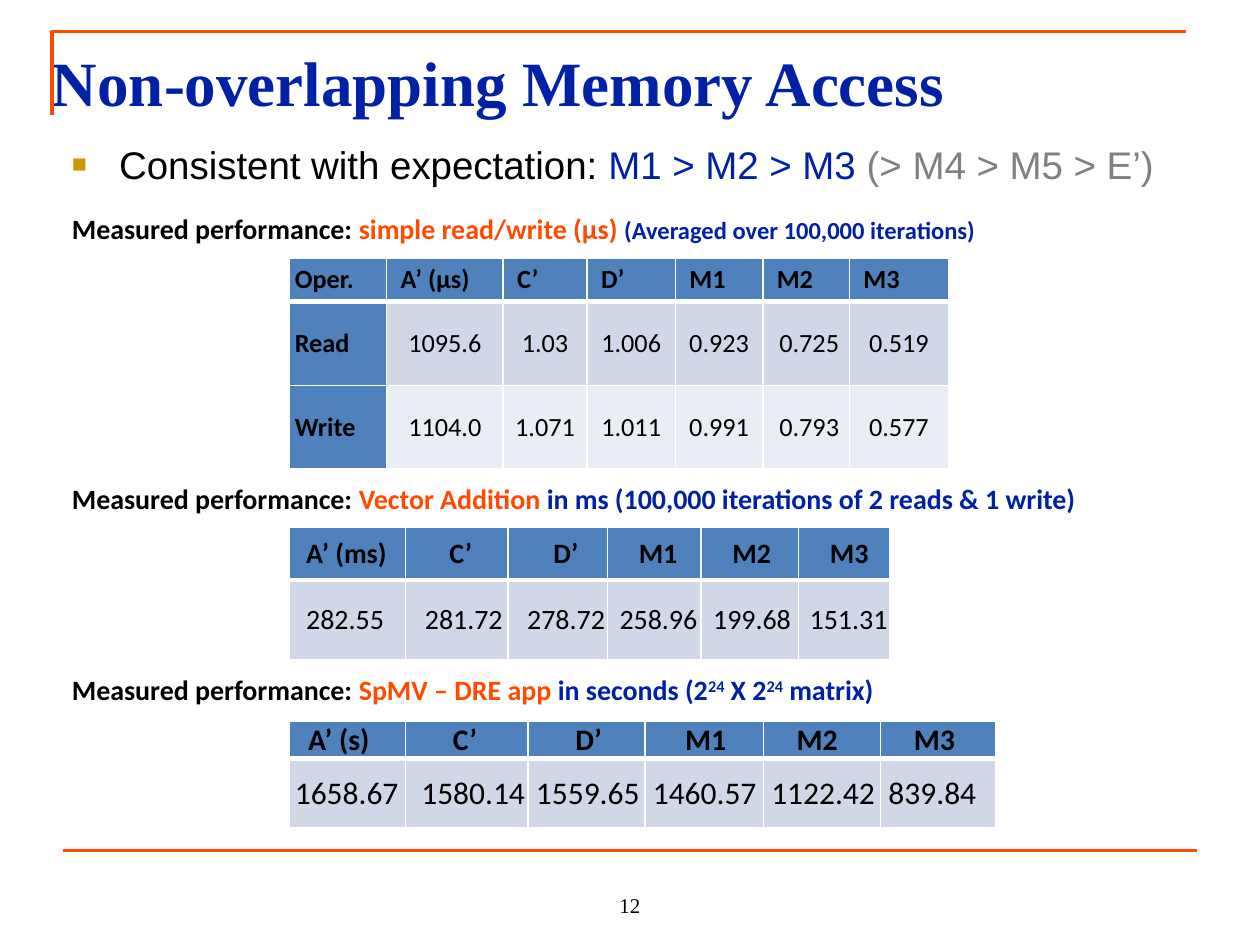
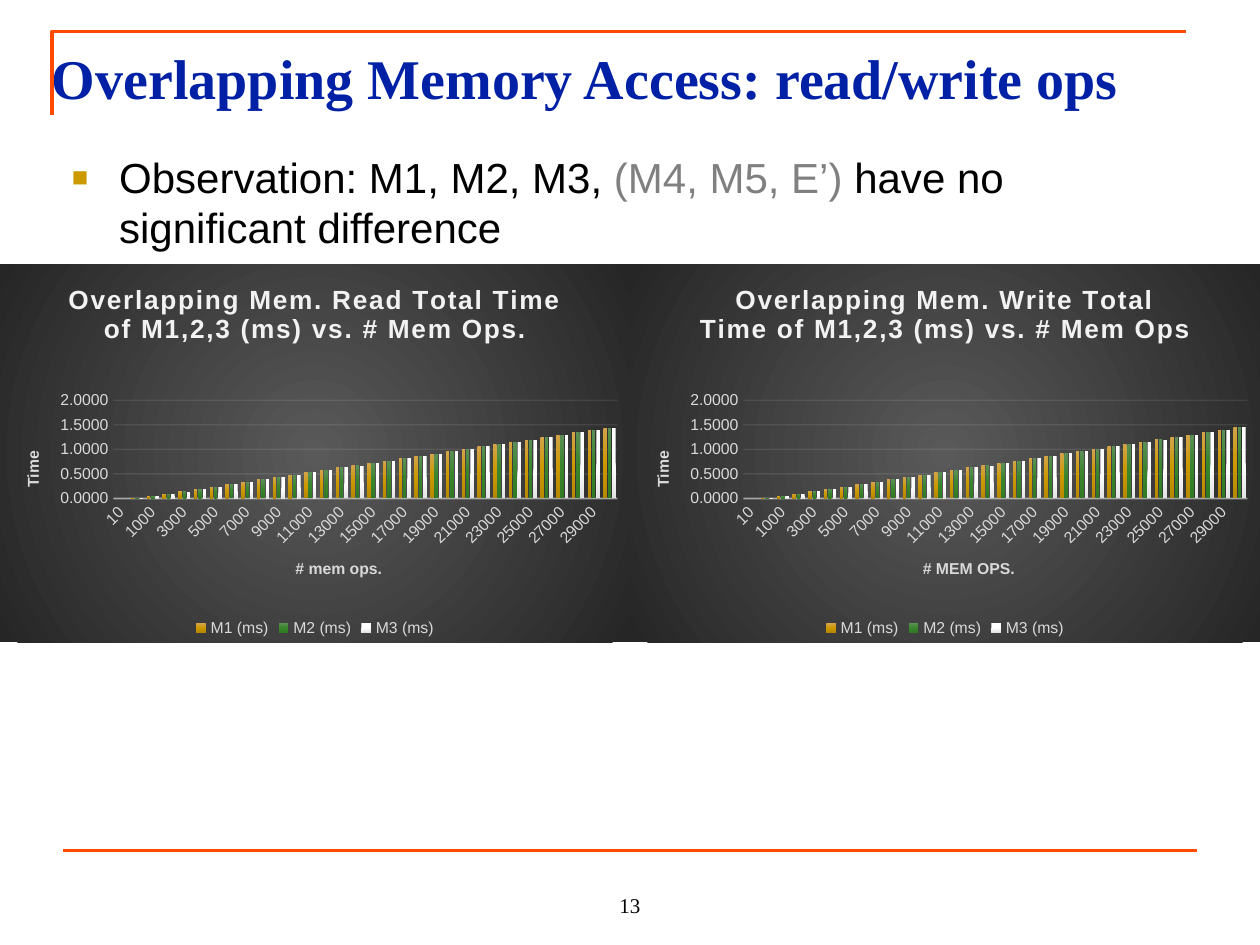
import pptx
import pptx.chart.data
import pptx.dml.color
import pptx.enum.chart
import pptx.enum.shapes
import pptx.enum.text
import pptx.oxml
import pptx.oxml.ns
import pptx.util
from pptx.dml.color import RGBColor
from pptx.enum.text import MSO_ANCHOR, PP_ALIGN
from pptx.util import Pt

ORANGE = RGBColor(0xFF, 0x4A, 0x00)
BLUE = RGBColor(0x00, 0x21, 0xA5)
BLACK = RGBColor(0, 0, 0)
GRAY = RGBColor(0x80, 0x80, 0x80)
HEAD_FILL = RGBColor(0x4F, 0x81, 0xBD)
BAND_FILLS = [RGBColor(0xD0, 0xD8, 0xE8), RGBColor(0xE9, 0xED, 0xF4)]
CHART_TITLE = RGBColor(0xF2, 0xF2, 0xF2)
CHART_TEXT = RGBColor(0xD9, 0xD9, 0xD9)
A_NS = pptx.oxml.ns.nsdecls("a")
C_NS = pptx.oxml.ns.nsdecls("c")


def add_runs(p, runs, size, font, bold=False):
    """Add (text, colour[, extra rPr attributes]) runs to paragraph p."""
    for text, color, *extra in runs:
        r = p.add_run()
        r.text = text
        r.font.size, r.font.name, r.font.bold = Pt(size), font, bold
        r.font.color.rgb = color
        for attributes in extra:
            for key, value in attributes.items():
                r.font._element.set(key, value)


def gradient(colors, direction):
    """Return a gradFill with evenly spaced colours."""
    step = 100000 // (len(colors) - 1)
    stops = "".join(f'<a:gs pos="{i * step}"><a:srgbClr val="{c}"/></a:gs>'
                    for i, c in enumerate(colors))
    return pptx.oxml.parse_xml(
        f"<a:gradFill {A_NS}><a:gsLst>{stops}</a:gsLst>{direction}</a:gradFill>")


prs = pptx.Presentation()
prs.slide_width, prs.slide_height = Pt(720), Pt(540)

# Frame, title, bullet and page number of each slide
pages = [
    ("12", "Non-overlapping Memory Access", 36, (34, 77, 693, 48), 22,
     [("Consistent with expectation: ", BLACK), ("M1 > M2 > M3 ", BLUE),
      ("(> M4 > M5 > E’)", GRAY)]),
    ("13", "Overlapping Memory Access: read/write ops", 32, (34, 83, 652, 66), 24,
     [("Observation: M1, M2, M3, ", BLACK), ("(M4, M5, E’) ", GRAY),
      ("have no significant difference", BLACK)]),
]
for number, title, title_size, bullet_box, bullet_size, bullet_runs in pages:
    s = prs.slides.add_slide(prs.slide_layouts[5])

    builder = s.shapes.build_freeform(Pt(30), Pt(66))
    builder.add_line_segments([(Pt(30), Pt(18)), (Pt(678), Pt(18))], close=False)
    corner = builder.convert_to_shape()
    corner.shadow.inherit = False
    corner.fill.background()
    rule = s.shapes.add_connector(pptx.enum.shapes.MSO_CONNECTOR.STRAIGHT,
                                  Pt(36), Pt(486), Pt(684), Pt(486))
    rule._element.spPr.append(pptx.oxml.parse_xml(f"<a:effectLst {A_NS}/>"))
    for line in (corner.line, rule.line):
        line.color.rgb = ORANGE
        line.width = Pt(2.25)

    sp = s.shapes.title
    sp.left, sp.top, sp.width, sp.height = Pt(22.5), Pt(21.5), Pt(697), Pt(63)
    tf = sp.text_frame
    tf.auto_size = pptx.enum.text.MSO_AUTO_SIZE.NONE
    tf.vertical_anchor = MSO_ANCHOR.TOP
    p = tf.paragraphs[0]
    p.alignment = PP_ALIGN.LEFT
    add_runs(p, [(title, BLUE)], title_size, "Times New Roman", True)

    tf = s.shapes.add_textbox(*map(Pt, bullet_box)).text_frame
    tf.word_wrap = True
    p = tf.paragraphs[0]
    p.space_before = Pt(bullet_size * 0.2)
    pPr = p._p.get_or_add_pPr()
    pPr.set("marL", str(Pt(27)))
    pPr.set("indent", str(Pt(-27)))
    for xml in (f'<a:buClr {A_NS}><a:srgbClr val="CC9900"/></a:buClr>',
                f'<a:buSzPct {A_NS} val="65000"/>',
                f'<a:buFont {A_NS} typeface="Arial"/>',
                f'<a:buChar {A_NS} char="■"/>'):
        pPr.append(pptx.oxml.parse_xml(xml))
    add_runs(p, bullet_runs, bullet_size, "Arial")

    tf = s.shapes.add_textbox(Pt(288), Pt(492), Pt(144), Pt(36)).text_frame
    tf.word_wrap = True
    tf.vertical_anchor = MSO_ANCHOR.BOTTOM
    p = tf.paragraphs[0]
    p.alignment = PP_ALIGN.CENTER
    add_runs(p, [(number, BLACK)], 12, "Times New Roman")

# Slide 12: captions and tables
s = prs.slides[0]
captions = [
    (117.5, [("simple read/write (µs) ", ORANGE),
             ("(Averaged over 100,000 iterations)", BLUE, {"sz": "1400"})]),
    (271.5, [("Vector Addition ", ORANGE),
             ("in ms (100,000 iterations of 2 reads & 1 write)", BLUE)]),
    (381, [("SpMV – DRE app ", ORANGE), ("in seconds (2", BLUE),
           ("24", BLUE, {"baseline": "30000"}), (" X 2", BLUE),
           ("24", BLUE, {"baseline": "30000"}), (" matrix)", BLUE)]),
]
for top, runs in captions:
    tf = s.shapes.add_textbox(Pt(34), Pt(top), Pt(616), Pt(26)).text_frame
    tf.word_wrap = True
    p = tf.paragraphs[0]
    p.space_before = Pt(6)
    add_runs(p, [("Measured performance: ", BLACK)] + runs, 16, "Calibri", True)

# top, column widths, row heights, head and body sizes, head and body insets,
# whether the first column is a heading, rows
tables = [
    (147.5, [56, 66.5, 48, 50.5, 50, 49.5, 56.5], [25, 47.8, 47.8], 15, 15,
     [3.5, 8, 8, 8, 8, 8, 8], [3.5, 0, 0, 0, 0, 3.5, 0], True,
     [["Oper.", "A’ (µs)", "C’", "D’", "M1", "M2", "M3"],
      ["Read", "1095.6", "1.03", "1.006", "0.923", "0.725", "0.519"],
      ["Write", "1104.0", "1.071", "1.011", "0.991", "0.793", "0.577"]]),
    (301, [66.8, 58.5, 56.8, 53.5, 55.7, 52.2], [30.5, 45.5], 16, 16,
     [10, 25, 26, 18, 18, 18], [10, 11, 11, 7, 7, 6.5], False,
     [["A’ (ms)", "C’", "D’", "M1", "M2", "M3"],
      ["282.55", "281.72", "278.72", "258.96", "199.68", "151.31"]]),
    (412, [66.8, 70, 66.8, 67.7, 67, 65.5], [21.6, 39.6], 17, 18,
     [11, 27, 27, 23, 19, 19], [3.5, 9, 4.5, 4.5, 4.5, 4.5], False,
     [["A’ (s)", "C’", "D’", "M1", "M2", "M3"],
      ["1658.67", "1580.14", "1559.65", "1460.57", "1122.42", "839.84"]]),
]
for top, widths, heights, head_size, body_size, head_insets, body_insets, row_heads, rows in tables:
    table = s.shapes.add_table(len(rows), len(widths), Pt(165), Pt(top),
                               Pt(sum(widths)), Pt(sum(heights))).table
    for column, width in zip(table.columns, widths):
        column.width = Pt(width)
    for i, row in enumerate(rows):
        table.rows[i].height = Pt(heights[i])
        for j, text in enumerate(row):
            cell = table.cell(i, j)
            heading = i == 0 or (row_heads and j == 0)
            cell.margin_left = Pt((body_insets if i else head_insets)[j])
            cell.margin_right = cell.margin_top = cell.margin_bottom = 0
            cell.vertical_anchor = MSO_ANCHOR.MIDDLE
            for side in "LRTB":
                width = 3 if (i, side) in ((0, "B"), (1, "T")) else 1
                cell._tc.get_or_add_tcPr().append(pptx.oxml.parse_xml(
                    f'<a:ln{side} {A_NS} w="{Pt(width)}"><a:solidFill>'
                    f'<a:srgbClr val="FFFFFF"/></a:solidFill></a:ln{side}>'))
            cell.fill.solid()
            cell.fill.fore_color.rgb = HEAD_FILL if heading else BAND_FILLS[i - 1]
            p = cell.text_frame.paragraphs[0]
            p.alignment = PP_ALIGN.CENTER if row_heads and not heading else PP_ALIGN.LEFT
            add_runs(p, [(text, BLACK)], body_size if i else head_size, "Calibri", heading)

# Slide 13: charts; the series differ from the read times at a few points only
s = prs.slides[1]
mem_ops = [10, 100] + list(range(1000, 30001, 1000))
read_times = [0, 0.01, 0.05, 0.1, 0.15, 0.19, 0.24, 0.29, 0.34, 0.39, 0.43,
              0.48, 0.53, 0.58, 0.63, 0.68, 0.72, 0.77, 0.82, 0.87, 0.91, 0.96,
              1.01, 1.06, 1.11, 1.16, 1.2, 1.25, 1.3, 1.35, 1.4, 1.44]
write_changes = {19000: 0.92, 25000: 1.21, 30000: 1.45}
charts = [
    (0, "Overlapping Mem. Read Total Time of M1,2,3 (ms) vs. # Mem Ops.",
     "# mem ops.", [{}, {}, {3000: 0.14, 14000: 0.67}]),
    (360, "Overlapping Mem. Write Total Time of M1,2,3 (ms) vs. # Mem Ops",
     "# MEM OPS.", [write_changes, write_changes,
                    {**write_changes, 14000: 0.67, 25000: 1.2}]),
]
series_colors = [["D3A44B", "CC9900", "B58800"], ["5B9055", "38852B", "2F7A22"],
                 ["FFFFFF", "FFFFFF", "E3E3E3"]]
for left, title, ops_title, changes in charts:
    data = pptx.chart.data.CategoryChartData(number_format="0.0000")
    data.categories = [str(n) for n in mem_ops]
    for i, change in enumerate(changes, 1):
        data.add_series(f"M{i} (ms)",
                        [change.get(n, t) for n, t in zip(mem_ops, read_times)])
    chart = s.shapes.add_chart(pptx.enum.chart.XL_CHART_TYPE.COLUMN_CLUSTERED,
                               Pt(left), Pt(151), Pt(360), Pt(216), data).chart
    chart.font.name, chart.font.size = "Arial", Pt(10)

    background = pptx.oxml.parse_xml(f"<c:spPr {C_NS} {A_NS}/>")
    background.append(gradient(["595959", "262626"],
        '<a:path path="circle"><a:fillToRect l="50000" t="50000" r="50000" b="50000"/></a:path>'))
    background.append(pptx.oxml.parse_xml(f"<a:ln {A_NS}><a:noFill/></a:ln>"))
    space = chart._chartSpace
    space.xpath("c:txPr")[0].addprevious(background)

    plot = chart.plots[0]
    plot.gap_width, plot.overlap = 100, -24
    plot.vary_by_categories = False
    for series, colors in zip(plot.series, series_colors):
        series._element.get_or_add_spPr().append(gradient(colors, '<a:lin ang="5400000"/>'))

    chart.has_title = True
    add_runs(chart.chart_title.text_frame.paragraphs[0],
             [(title, CHART_TITLE, {"spc": "100"})], 15, "Arial", True)
    chart.chart_title.include_in_layout = False
    chart.has_legend = True
    chart.legend.position = pptx.enum.chart.XL_LEGEND_POSITION.BOTTOM
    chart.legend.include_in_layout = False

    x, y = chart.category_axis, chart.value_axis
    for axis, name in ((x, ops_title), (y, "Time")):
        add_runs(axis.axis_title.text_frame.paragraphs[0],
                 [(name, CHART_TEXT)], 9, "Arial", True)
        axis.major_tick_mark = pptx.enum.chart.XL_TICK_MARK.NONE
    for font in (x.tick_labels.font, y.tick_labels.font, chart.legend.font):
        font.name, font.size = "Arial", Pt(9)
        font.color.rgb = CHART_TEXT
    space.xpath(".//c:catAx/c:txPr/a:bodyPr")[0].set("rot", "-2700000")
    space.xpath(".//c:valAx/c:title//a:bodyPr")[0].set("rot", "-5400000")
    y.minimum_scale, y.maximum_scale, y.major_unit = 0, 2, 0.5
    y.tick_labels.number_format = "0.0000"
    y.tick_labels.number_format_is_linked = False
    y.format.line.fill.background()
    for line, width, where, alpha in (
            (x.format.line, 1, "c:catAx/c:spPr", 54000),
            (y.major_gridlines.format.line, 0.75, "c:majorGridlines", 10000)):
        line.color.rgb = CHART_TITLE
        line.width = Pt(width)
        space.xpath(f".//{where}//a:srgbClr")[0].append(
            pptx.oxml.parse_xml(f'<a:alpha {A_NS} val="{alpha}"/>'))

    area = space.xpath(".//c:plotArea")[0]
    for layout in area.xpath("c:layout"):
        area.remove(layout)
    area.insert(0, pptx.oxml.parse_xml(
        f'<c:layout {C_NS}><c:manualLayout><c:layoutTarget val="inner"/>'
        '<c:xMode val="edge"/><c:yMode val="edge"/><c:x val="0.18"/><c:y val="0.36"/>'
        '<c:w val="0.8"/><c:h val="0.26"/></c:manualLayout></c:layout>'))

prs.save("out.pptx")
